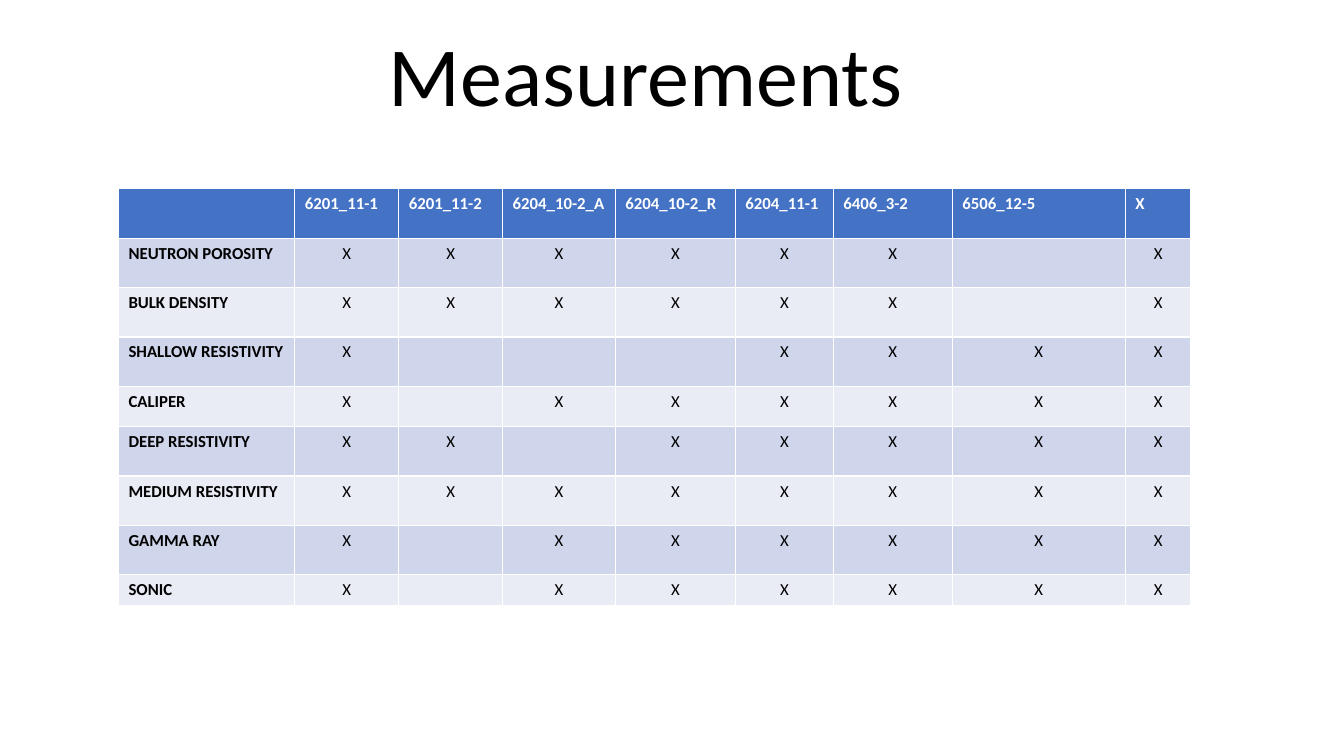
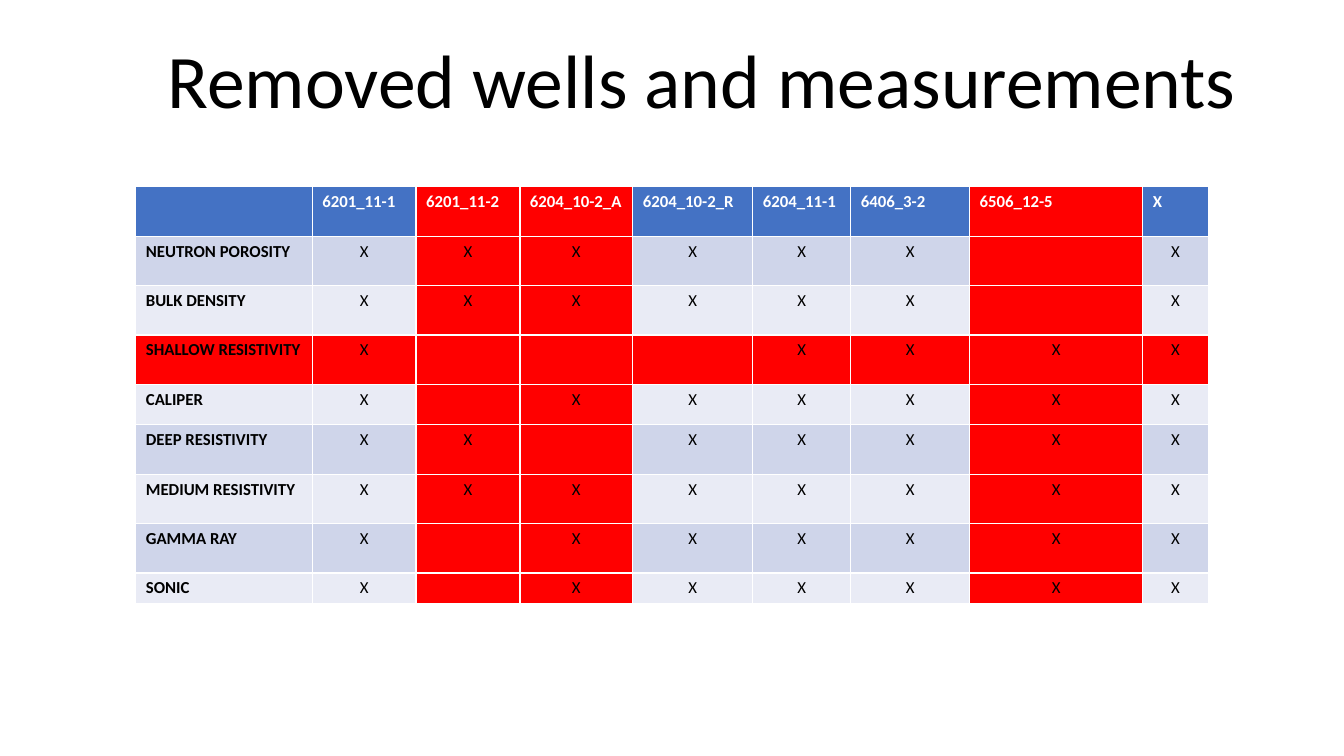
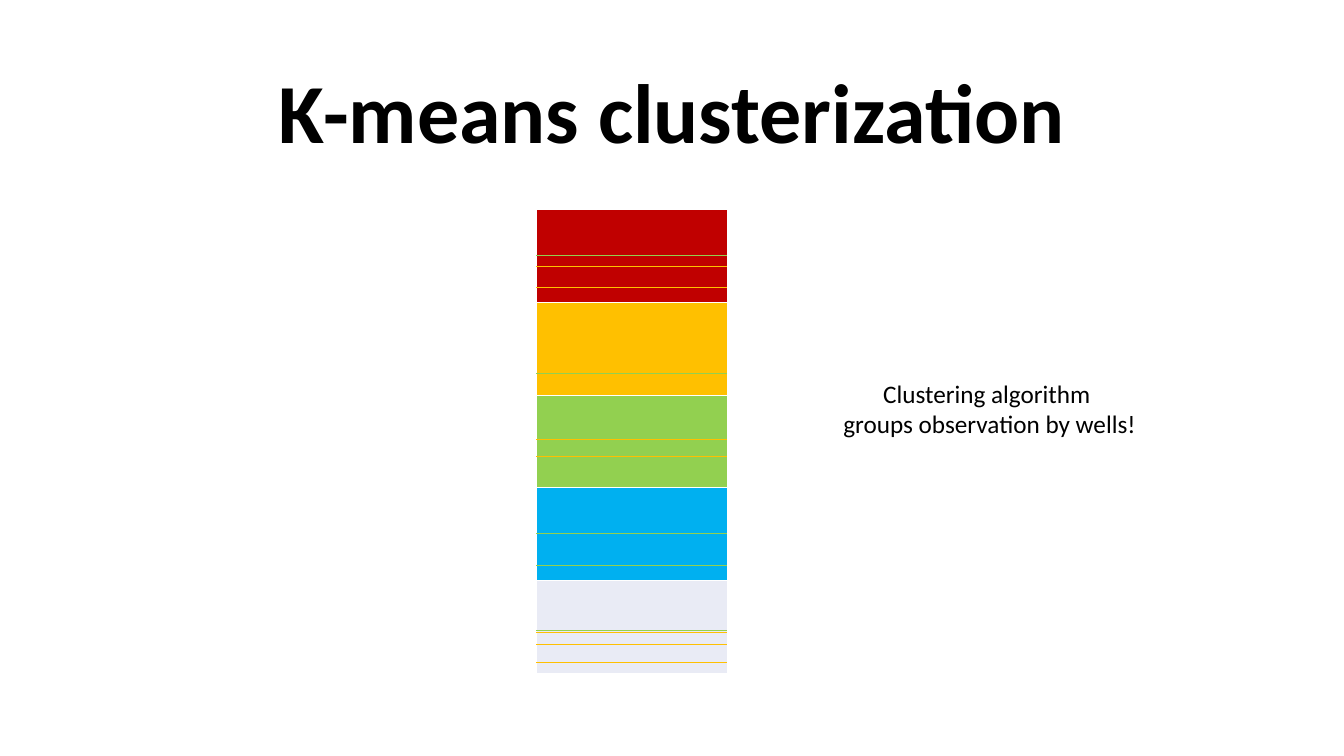
from dataclasses import dataclass
from typing import NamedTuple

from lxml.etree import SubElement
from pptx import Presentation
from pptx.dml.color import RGBColor as Rgb
from pptx.enum.shapes import MSO_CONNECTOR as Link
from pptx.enum.text import MSO_ANCHOR as Anchor, MSO_AUTO_SIZE as Fit, PP_ALIGN as Align
from pptx.oxml.ns import qn
from pptx.slide import Slide
from pptx.table import Table, _Cell as Cell
from pptx.util import Pt


@dataclass(frozen=True)
class Theme:
    font: str = "Calibri"
    black: str = "000000"
    white: str = "FFFFFF"
    head: str = "4472C4"
    odd: str = "CFD5EA"
    even: str = "E9EBF5"
    cut: str = "FF0000"
    red: str = "C00000"
    gold: str = "FFC000"
    green: str = "92D050"
    sky: str = "00B0F0"
    title: int = 60
    long: int = 54
    note: int = 18
    cell: int = 12


class Box(NamedTuple):
    left: float
    top: float
    width: float
    height: float


class Log(NamedTuple):
    """A measurement, its row height and a mark for each well that has it."""
    name: str
    height: float
    marks: str


class Streak(NamedTuple):
    color: str
    tops: tuple[float, ...]


THEME = Theme()
ROW = 35.3
WIDTHS = (126, 74.2, 74.2, 80.6, 85.7, 70, 85, 123.6, 46.8)
WELLS = ("6201_11-1", "6201_11-2", "6204_10-2_A", "6204_10-2_R",
         "6204_11-1", "6406_3-2", "6506_12-5", "X")
LOGS = (
    Log("NEUTRON POROSITY", ROW, "XXXXXX-X"),
    Log("BULK DENSITY", ROW, "XXXXXX-X"),
    Log("SHALLOW RESISTIVITY", ROW, "X---XXXX"),
    Log("CALIPER", 28.8, "X-XXXXXX"),
    Log("DEEP RESISTIVITY", ROW, "XX-XXXXX"),
    Log("MEDIUM RESISTIVITY", ROW, "XXXXXXXX"),
    Log("GAMMA RAY", ROW, "X-XXXXXX"),
    Log("SONIC", 21.6, "X-XXXXXX"),
)
CUT_WELLS = {"6201_11-2", "6204_10-2_A", "6506_12-5"}
CUT_LOGS = {"SHALLOW RESISTIVITY"}
STACK = Box(383, 149.8, 136.6, 331.2)
BANDS = (THEME.red, THEME.gold, THEME.green, THEME.sky, THEME.even)
STREAKS = (
    Streak(THEME.gold, (190.1, 205.2, 326.2, 313.9, 473, 451.4, 460.1)),
    Streak(THEME.green, (182.2, 266.4, 380.9, 403.9, 450)),
)


def style(par, size: float, color: str, bold: bool = False, align=None) -> None:
    par.alignment = align
    font = par.font
    font.name, font.size, font.bold = THEME.font, Pt(size), bold
    font.color.rgb = Rgb.from_string(color)


def add_slide(deck, text: str, box: Box, size: int, bold: bool = False) -> Slide:
    """Add a slide whose only placeholder is its title."""
    slide = deck.slides.add_slide(deck.slide_layouts[0])
    sub = slide.placeholders[1].element
    sub.getparent().remove(sub)
    title = slide.shapes.title
    title.left, title.top, title.width, title.height = map(Pt, box)
    frame = title.text_frame
    frame.text = text
    frame.word_wrap, frame.auto_size = True, Fit.NONE
    frame.vertical_anchor = Anchor.BOTTOM
    par = frame.paragraphs[0]
    par.line_spacing = 0.9
    style(par, size, THEME.black, bold, Align.CENTER)
    return slide


def add_table(slide: Slide, rows: int, cols: int, box: Box) -> Table:
    return slide.shapes.add_table(rows, cols, *map(Pt, box)).table


def paint(cell: Cell, color: str) -> None:
    cell.fill.solid()
    cell.fill.fore_color.rgb = Rgb.from_string(color)


def add_grid(slide: Slide, left: float, top: float,
             wells: set[str], logs: set[str]) -> None:
    """Draw wells against measurements, with the removed ones in red."""
    tall = (ROW, *(log.height for log in LOGS))
    table = add_table(slide, len(tall), len(WIDTHS),
                      Box(left, top, sum(WIDTHS), sum(tall)))
    for col, width in zip(table.columns, WIDTHS):
        col.width = Pt(width)
    lines = [("", *WELLS)]
    lines += [(log.name, *log.marks.replace("-", " ")) for log in LOGS]
    for r, line in enumerate(lines):
        table.rows[r].height = Pt(tall[r])
        band = THEME.head if r == 0 else THEME.odd if r % 2 else THEME.even
        for c, text in enumerate(line):
            cell = table.cell(r, c)
            out = lines[0][c] in wells or line[0] in logs
            paint(cell, THEME.cut if out else band)
            cell.text = text.strip()
            par = cell.text_frame.paragraphs[0]
            style(par, THEME.cell, THEME.black if r else THEME.white,
                  r == 0 or c == 0, Align.CENTER if r and c else None)
            if not cell.text:
                SubElement(par._p, qn("a:endParaRPr"), sz=str(THEME.cell * 100))


def add_stack(slide: Slide) -> None:
    """Draw the cluster bands and the stray observations across them."""
    table = add_table(slide, len(BANDS), 1, STACK)
    for r, color in enumerate(BANDS):
        table.rows[r].height = Pt(STACK.height / len(BANDS))
        paint(table.cell(r, 0), color)
    left, right = Pt(STACK.left), Pt(STACK.left + STACK.width)
    for streak in STREAKS:
        for top in streak.tops:
            line = slide.shapes.add_connector(
                Link.STRAIGHT, left, Pt(top), right, Pt(top))
            line.line.width = Pt(0.5)
            line.line.color.rgb = Rgb.from_string(streak.color)
            SubElement(line._element.spPr, qn("a:effectLst"))


def add_note(slide: Slide, text: str, box: Box) -> None:
    frame = slide.shapes.add_textbox(*map(Pt, box)).text_frame
    frame.text = text
    frame.word_wrap, frame.auto_size = False, Fit.SHAPE_TO_FIT_TEXT
    for par in frame.paragraphs:
        style(par, THEME.note, THEME.black, align=Align.CENTER)


def main() -> None:
    deck = Presentation()
    deck.slide_width, deck.slide_height = Pt(960), Pt(540)

    slide = add_slide(deck, "Measurements ", Box(108, 16, 720, 77), THEME.title)
    add_grid(slide, 84.6, 134.8, set(), set())

    slide = add_slide(deck, "Removed wells and measurements ",
                      Box(108, 16, 799, 77), THEME.long)
    add_grid(slide, 97, 133.4, CUT_WELLS, CUT_LOGS)

    slide = add_slide(deck, "K-means clusterization",
                      Box(120, 40, 720, 79), THEME.title, bold=True)
    add_stack(slide)
    add_note(slide, "Clustering algorithm\n groups observation by wells!",
             Box(589.7, 266.4, 230.4, 51))

    deck.save("out.pptx")


if __name__ == "__main__":
    main()
